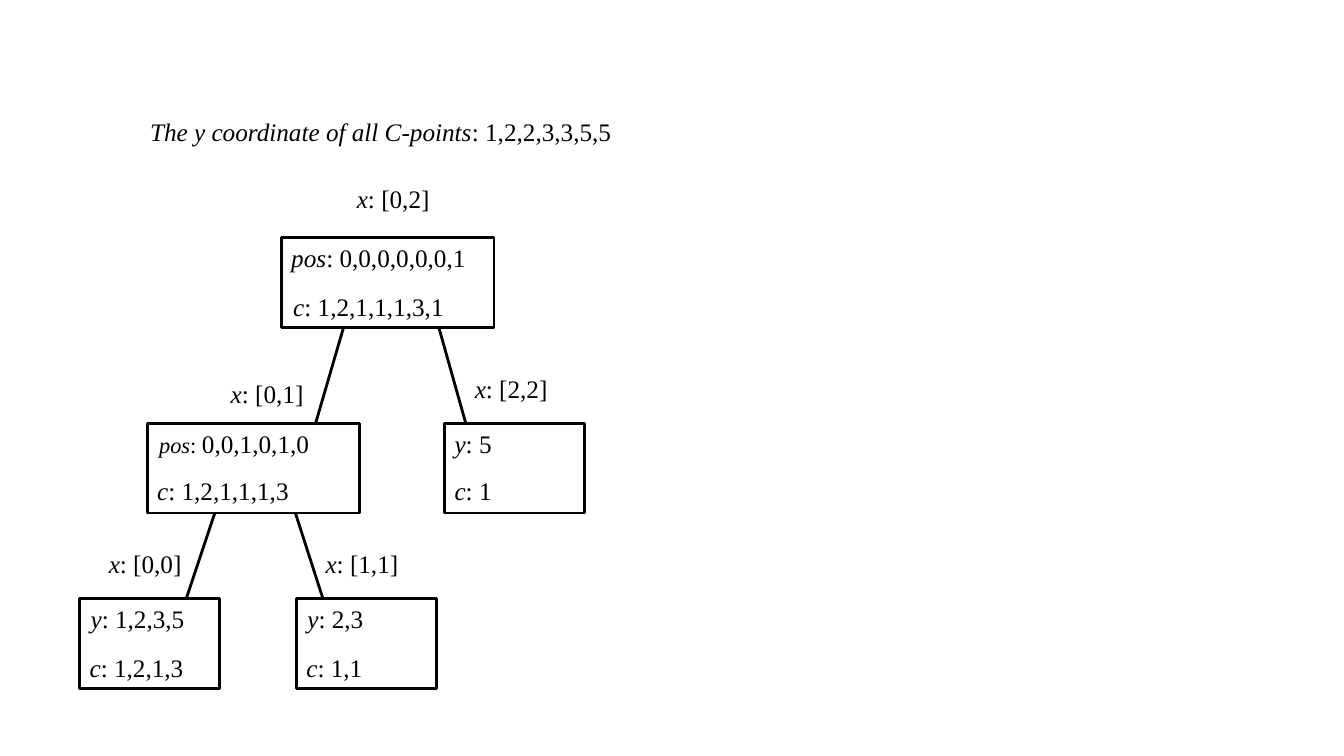
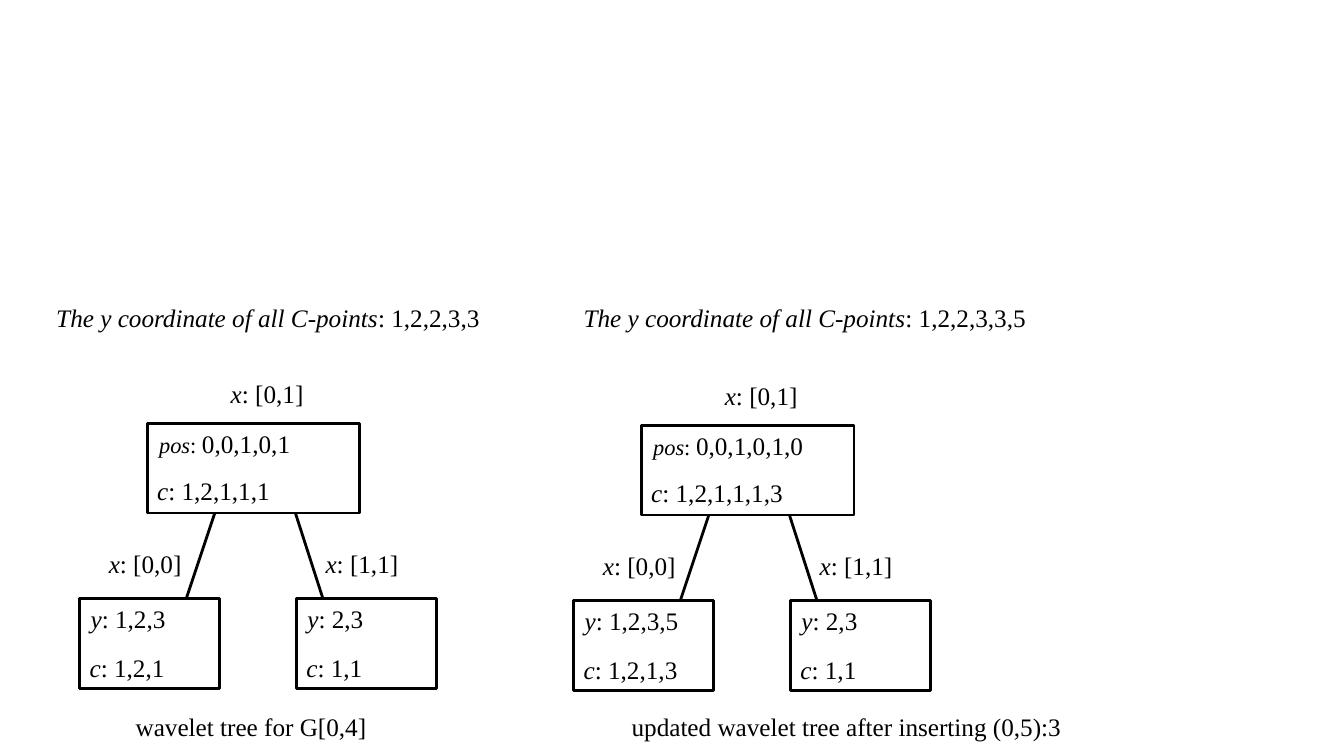
"""Build two slides of wavelet trees."""
import pptx
import pptx.dml.color
import pptx.enum.shapes
import pptx.enum.text
import pptx.oxml.ns
import pptx.util
from lxml import etree

PX = 9144
FONT = "Times New Roman"
COLORS = {"ink": "000000", "page": "FFFFFF"}
WIDE, SLIM, TALL = 211, 139, 89
ROW = 40


def px(n):
    return pptx.util.Emu(n * PX)


def color(name):
    return pptx.dml.color.RGBColor.from_string(COLORS[name])


def stroke(line):
    line.color.rgb = color("ink")
    line.width = pptx.util.Pt(2)


def text(shapes, x, y, w, runs, center=False):
    box = shapes.add_textbox(px(x), px(y), px(w), px(ROW))
    frame = box.text_frame
    frame.word_wrap = True
    frame.auto_size = pptx.enum.text.MSO_AUTO_SIZE.SHAPE_TO_FIT_TEXT
    para = frame.paragraphs[0]
    if center:
        para.alignment = pptx.enum.text.PP_ALIGN.CENTER
    for words, size, slant in runs:
        run = para.add_run()
        run.text = words
        run.font.name = FONT
        run.font.size = pptx.util.Pt(size)
        run.font.italic = slant
        run.font.color.rgb = color("ink")


def pair(key, value, size=18):
    return [(key, size, True), (": ", size, False), (value, 18, False)]


def label(slide, x, y, span):
    text(slide.shapes, x, y, 104, pair("x", span), center=True)


def title(slide, x, y, values):
    text(slide.shapes, x, y, 494,
         pair("The y coordinate of all C-points", values))


def caption(slide, x, w, words):
    text(slide.shapes, x, 701, w, [(words, 18, False)], center=True)


def node(slide, x, y, w, head, counts, pads=(1, 0), drop=48):
    shapes = slide.shapes.add_group_shape().shapes
    rect = shapes.add_shape(pptx.enum.shapes.MSO_SHAPE.RECTANGLE,
                            px(x), px(y), px(w), px(TALL))
    rect.shadow.inherit = False
    rect.fill.background()
    stroke(rect.line)
    text(shapes, x + pads[0], y, w, head)
    text(shapes, x + pads[1], y + drop, w, pair("c", counts))


def edge(slide, x1, y1, x2, y2):
    line = slide.shapes.add_connector(
        pptx.enum.shapes.MSO_CONNECTOR.STRAIGHT,
        px(x1), px(y1), px(x2), px(y2))
    stroke(line.line)
    etree.SubElement(line._element.spPr, pptx.oxml.ns.qn("a:effectLst"))


def tree(slide, x, y, bits, counts, leaf):
    label(slide, x + 67, y - 50, "[0,1]")
    node(slide, x, y, WIDE, pair("pos", bits, 16), counts, (2, 0), 47)
    leaves = [(-67, -54, "[0,0]", *leaf), (148, 161, "[1,1]", "2,3", "1,1")]
    for left, tag, span, values, weights in leaves:
        label(slide, x + tag, y + 119, span)
        node(slide, x + left, y + 174, SLIM, pair("y", values), weights)
    for start, end in [(67, 39), (147, 174)]:
        edge(slide, x + start, y + TALL, x + end, y + 173)


def full(slide):
    title(slide, 139, 111, "1,2,2,3,3,5,5")
    label(slide, 338, 177, "[0,2]")
    node(slide, 279, 236, WIDE, pair("pos", "0,0,0,0,0,0,1"),
         "1,2,1,1,1,3,1", (0, 2))
    edge(slide, 341, 324, 313, 420)
    edge(slide, 435, 324, 462, 420)
    label(slide, 455, 365, "[2,2]")
    node(slide, 441, 420, SLIM, pair("y", "5"), "1", (0, 0), 47)
    tree(slide, 146, 420, "0,0,1,0,1,0", "1,2,1,1,1,3",
         ("1,2,3,5", "1,2,1,3"))


def update(slide):
    title(slide, 46, 295, "1,2,2,3,3")
    tree(slide, 146, 420, "0,0,1,0,1", "1,2,1,1,1", ("1,2,3", "1,2,1"))
    caption(slide, 88, 322, "wavelet tree for G[0,4]")
    title(slide, 569, 295, "1,2,2,3,3,5")
    tree(slide, 636, 422, "0,0,1,0,1,0", "1,2,1,1,1,3",
         ("1,2,3,5", "1,2,1,3"))
    caption(slide, 534, 611, "updated wavelet tree after inserting (0,5):3")


def main():
    deck = pptx.Presentation()
    deck.slide_width, deck.slide_height = px(1333), px(750)
    for draw in (full, update):
        slide = deck.slides.add_slide(deck.slide_layouts[6])
        slide.background.fill.solid()
        slide.background.fill.fore_color.rgb = color("page")
        draw(slide)
    deck.save("out.pptx")


if __name__ == "__main__":
    main()
